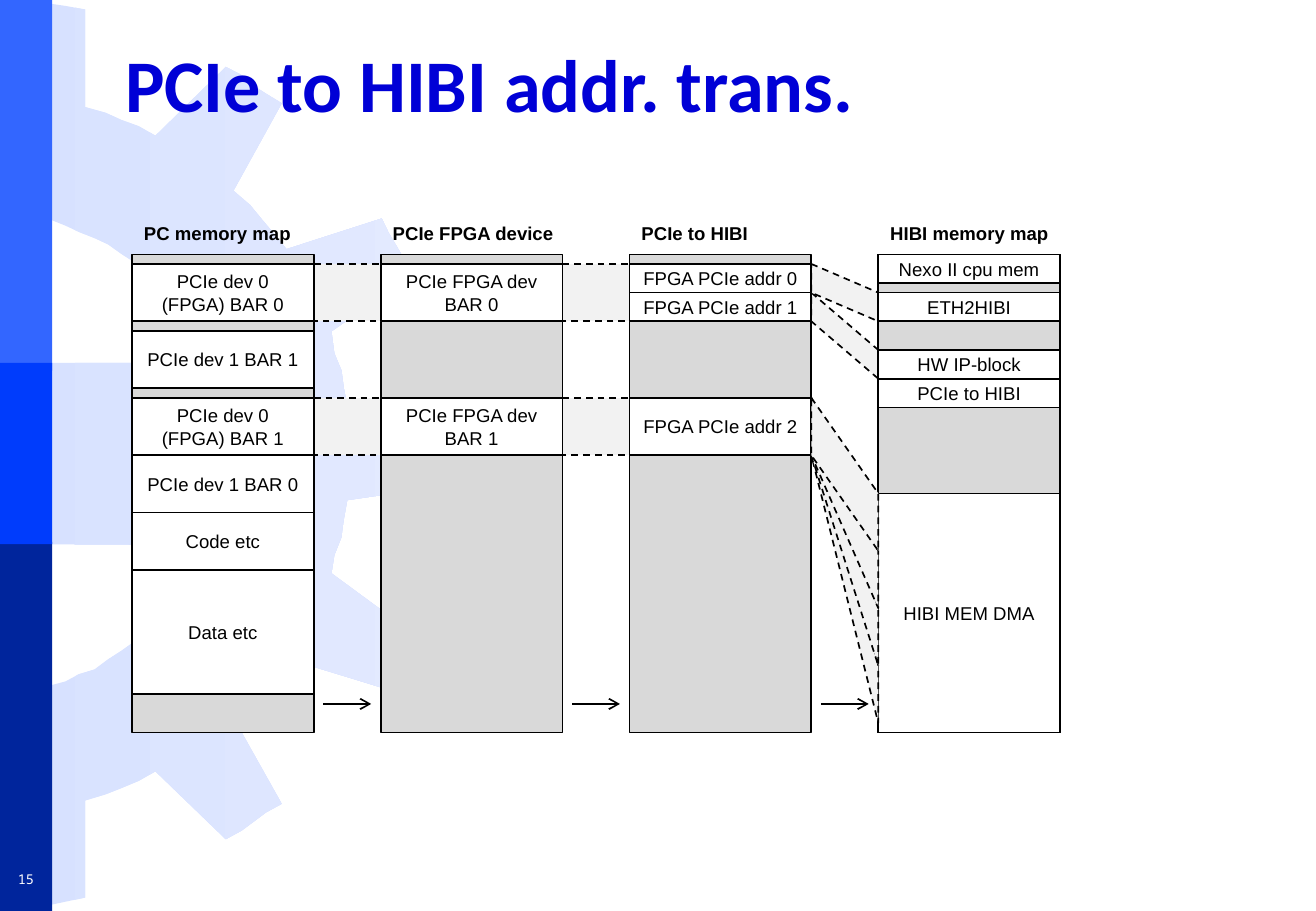
from dataclasses import dataclass

from lxml.etree import SubElement
from pptx import Presentation
from pptx.dml.color import RGBColor
from pptx.enum.dml import MSO_LINE
from pptx.enum.shapes import MSO_CONNECTOR, MSO_SHAPE as SHAPE
from pptx.enum.text import MSO_ANCHOR as ANCHOR, MSO_AUTO_SIZE, PP_ALIGN as ALIGN
from pptx.oxml.ns import qn
from pptx.util import Emu, Pt

EMU_PER_PX = 3600


@dataclass(frozen=True)
class Theme:
    title: str = "0000D6"
    ink: str = "000000"
    paper: str = "FFFFFF"
    unused: str = "D9D9D9"
    window: str = "F2F2F2"
    gear_from: str = "D7E1FF"
    gear_to: str = "E3EAFF"
    bars: tuple = ("3366FF", "00259C", "003CFC")
    title_font: str = "Calibri"
    body_font: str = "Arial"
    number_font: str = "Noto Sans Mono"
    title_size: int = 44
    body_size: int = 11
    number_size: int = 8
    line_width: int = 1


THEME = Theme()

SLIDE_W, SLIDE_H = 2751, 1905
MAP_LEFT, MAP_TOP = 276, 532
MAP_W, MAP_GAP, MAP_UNITS = 380, 140, 50
UNIT = 20
PITCH = MAP_W + MAP_GAP
LONGEST_SINGLE_LINE = 16

# Each region: first unit, height in units, name
MEMORY_MAPS = [
    ("PC memory map", [
        (1, 6, "PCIe dev 0 (FPGA) BAR 0"), (8, 6, "PCIe dev 1 BAR 1"),
        (15, 6, "PCIe dev 0 (FPGA) BAR 1"), (21, 6, "PCIe dev 1 BAR 0"),
        (27, 6, "Code etc"), (33, 13, "Data etc")]),
    ("PCIe FPGA device", [
        (1, 6, "PCIe FPGA dev BAR 0"), (15, 6, "PCIe FPGA dev BAR 1")]),
    ("PCIe to HIBI", [
        (1, 3, "FPGA PCIe addr 0"), (4, 3, "FPGA PCIe addr 1"),
        (15, 6, "FPGA PCIe addr 2")]),
    ("HIBI memory map", [
        (0, 3, "Nexo II cpu mem"), (4, 3, "ETH2HIBI"), (10, 3, "HW IP-block"),
        (13, 3, "PCIe to HIBI"), (25, 25, "HIBI MEM DMA")]),
]

# Each window: gap number, first unit on the left, height, first unit on the right
DIRECT_WINDOWS = [(gap, unit, 6, unit) for gap in (0, 1) for unit in (15, 1)]
DIRECT_WINDOWS += [(2, 4, 3, 10), (2, 1, 3, 4)]
DMA_WINDOWS = [(2, 15, 6, unit) for unit in (43, 37, 31, 25)]

SIDE_BARS = [(0, 775), (1133, 772), (759, 379)]

GEAR = [
    (439, 759), (0, 759), (0, 1138), (439, 1140), (424, 1171), (406, 1199), (394, 1229),
    (373, 1257), (353, 1280), (330, 1300), (302, 1326), (282, 1341), (254, 1361), (226, 1379),
    (198, 1400), (165, 1410), (137, 1425), (107, 1433), (71, 1443), (36, 1448), (36, 1902),
    (74, 1895), (107, 1892), (140, 1885), (178, 1877), (178, 1674), (221, 1661), (254, 1648),
    (290, 1633), (325, 1613), (472, 1755), (505, 1737), (528, 1720), (556, 1699), (589, 1681),
    (488, 1501), (523, 1468), (546, 1443), (572, 1410), (599, 1377), (798, 1438), (813, 1410),
    (831, 1379), (846, 1356), (859, 1321), (693, 1199), (699, 1161), (714, 1123), (716, 1105),
    (719, 1085), (726, 1046), (932, 1016), (940, 978), (940, 912), (932, 881), (726, 848),
    (719, 813), (714, 775), (699, 739), (693, 693), (859, 577), (846, 544), (831, 518),
    (813, 488), (798, 457), (599, 521), (572, 488), (546, 457), (523, 429), (488, 399),
    (589, 216), (556, 196), (528, 178), (505, 157), (472, 140), (325, 284), (290, 264),
    (254, 251), (221, 236), (178, 224), (178, 20), (140, 13), (107, 8), (74, 3), (36, 0),
    (36, 447), (71, 457), (107, 460), (137, 472), (165, 485), (198, 498), (226, 511),
    (254, 531), (282, 549), (302, 574), (330, 594), (353, 615), (373, 643), (394, 671),
    (406, 701), (424, 726),
]


def px(*lengths):
    return [Emu(round(length * EMU_PER_PX)) for length in lengths]


def rgb(colour):
    return RGBColor.from_string(colour)


def map_left(index):
    return MAP_LEFT + index * PITCH


def unit_top(unit):
    return MAP_TOP + unit * UNIT


def write(frame, text, size, colour, font=THEME.body_font, bold=False, align=ALIGN.LEFT):
    frame.text = text
    paragraph = frame.paragraphs[0]
    paragraph.alignment = align
    for run in paragraph.runs:
        run.font.name, run.font.size, run.font.bold = font, Pt(size), bold
        run.font.color.rgb = rgb(colour)


def add_filled(slide, kind, box, fill, outlined=True):
    shape = slide.shapes.add_shape(kind, *px(*box))
    shape.shadow.inherit = False
    shape.fill.solid()
    shape.fill.fore_color.rgb = rgb(fill)
    if outlined:
        shape.line.color.rgb = rgb(THEME.ink)
        shape.line.width = Pt(THEME.line_width)
    else:
        shape.line.fill.background()
    return shape


def add_gear(slide):
    builder = slide.shapes.build_freeform(*GEAR[0], scale=EMU_PER_PX)
    builder.add_line_segments(GEAR[1:], close=True)
    gear = builder.convert_to_shape()
    gear.shadow.inherit = False
    gear.line.fill.background()
    gear.fill.gradient()
    gear.fill.gradient_angle = 0
    colours = (THEME.gear_from, THEME.gear_to)
    for stop, position, colour in zip(gear.fill.gradient_stops, (0, 1), colours):
        stop.position = position
        stop.color.rgb = rgb(colour)


def add_title(slide, text):
    """Format the title placeholder and bring it in front of the gear."""
    title = slide.shapes.title
    title.left, title.top, title.width, title.height = px(236, 53, 2385, 239)
    frame = title.text_frame
    frame.auto_size = MSO_AUTO_SIZE.NONE
    frame.vertical_anchor = ANCHOR.MIDDLE
    write(frame, text, THEME.title_size, THEME.title, THEME.title_font, bold=True)
    slide.shapes._spTree.append(title._element)


def add_page_number(slide, number):
    frame = slide.shapes.add_textbox(*px(0, 1806, 109, 66)).text_frame
    frame.word_wrap = False
    frame.vertical_anchor = ANCHOR.MIDDLE
    write(frame, number, THEME.number_size, THEME.paper, THEME.number_font, align=ALIGN.CENTER)


def add_window(slide, gap, left_unit, height, right_unit):
    """Join equal address ranges of two neighbouring maps by a turned parallelogram."""
    shift = (right_unit - left_unit) * UNIT
    span = height * UNIT + shift
    centre_x = map_left(gap) + MAP_W + MAP_GAP / 2
    centre_y = unit_top(left_unit) + span / 2
    box = (centre_x - span / 2, centre_y - MAP_GAP / 2, span, MAP_GAP)
    window = add_filled(slide, SHAPE.PARALLELOGRAM, box, THEME.window)
    window.rotation = 90
    window.adjustments[0] = shift / min(span, MAP_GAP)
    window.line.dash_style = MSO_LINE.DASH


def add_memory_map(slide, index, heading, regions):
    left = map_left(index)
    label = slide.shapes.add_textbox(*px(left, MAP_TOP - 80, 416, 60)).text_frame
    label.word_wrap = True
    write(label, heading, THEME.body_size, THEME.ink, bold=True)
    add_filled(slide, SHAPE.RECTANGLE, (left, MAP_TOP, MAP_W, MAP_UNITS * UNIT), THEME.unused)
    for unit, height, name in regions:
        box = (left, unit_top(unit), MAP_W, height * UNIT)
        frame = add_filled(slide, SHAPE.RECTANGLE, box, THEME.paper).text_frame
        frame.word_wrap = len(name) > LONGEST_SINGLE_LINE
        frame.vertical_anchor = ANCHOR.MIDDLE
        write(frame, name, THEME.body_size, THEME.ink, align=ALIGN.CENTER)


def add_flow_arrow(slide, gap):
    start, y = map_left(gap) + MAP_W + UNIT, unit_top(47)
    ends = px(start, y, start + MAP_GAP - 2 * UNIT, y)
    arrow = slide.shapes.add_connector(MSO_CONNECTOR.STRAIGHT, *ends)
    arrow.line.color.rgb = rgb(THEME.ink)
    arrow.line.width = Pt(THEME.line_width)
    SubElement(arrow.line._get_or_add_ln(), qn("a:tailEnd"), type="arrow")
    SubElement(arrow._element.spPr, qn("a:effectLst"))


def main():
    deck = Presentation()
    deck.slide_width, deck.slide_height = px(SLIDE_W, SLIDE_H)
    slide = deck.slides.add_slide(deck.slide_layouts[5])
    add_gear(slide)
    for (top, height), colour in zip(SIDE_BARS, THEME.bars):
        add_filled(slide, SHAPE.RECTANGLE, (0, top, 109, height), colour, outlined=False)
    add_title(slide, "PCIe to HIBI addr. trans.")
    add_page_number(slide, "15")
    for window in DIRECT_WINDOWS:
        add_window(slide, *window)
    for index, (heading, regions) in enumerate(MEMORY_MAPS):
        add_memory_map(slide, index, heading, regions)
    for gap in range(len(MEMORY_MAPS) - 1):
        add_flow_arrow(slide, gap)
    for window in DMA_WINDOWS:
        add_window(slide, *window)
    deck.save("out.pptx")


if __name__ == "__main__":
    main()
